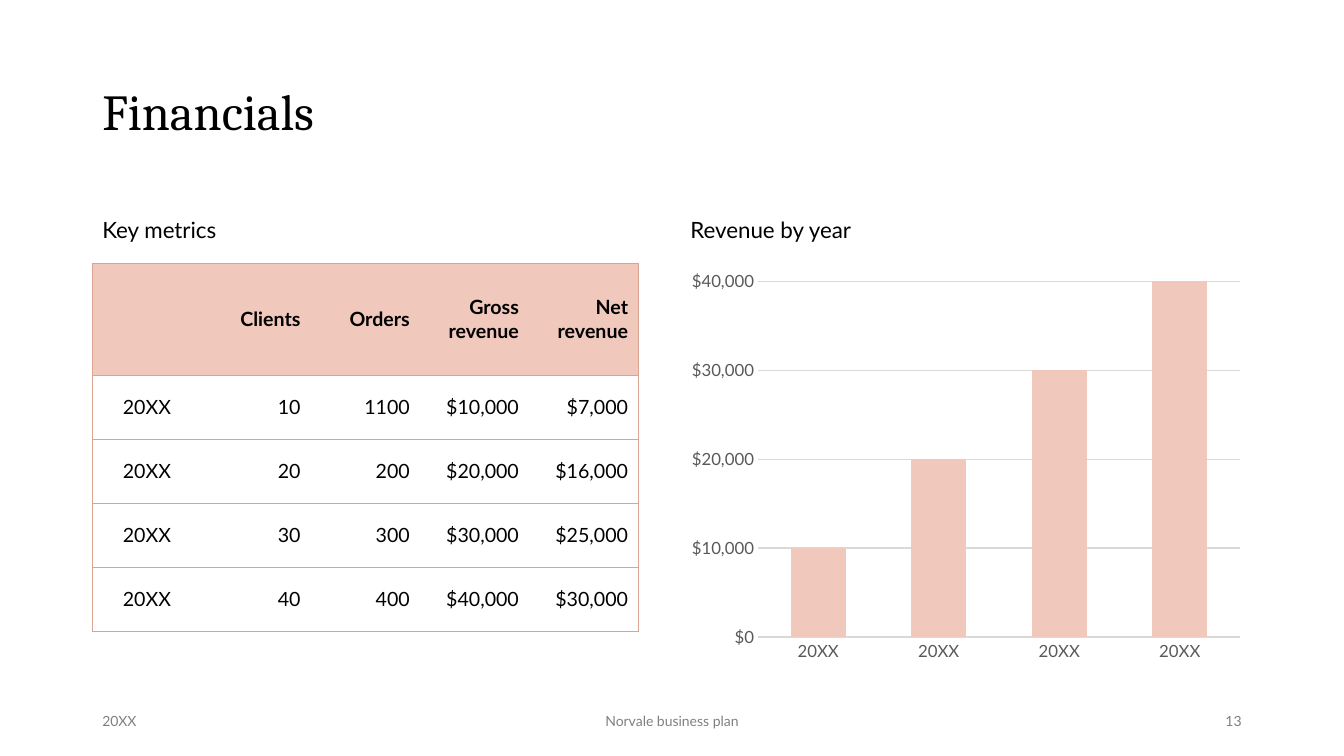
from dataclasses import dataclass

from lxml import etree
from pptx import Presentation
from pptx.chart.data import CategoryChartData
from pptx.dml.color import RGBColor
from pptx.enum.chart import XL_CHART_TYPE, XL_TICK_MARK
from pptx.enum.text import MSO_ANCHOR, PP_ALIGN
from pptx.oxml.ns import qn
from pptx.slide import Slide
from pptx.table import _Cell
from pptx.text.text import TextFrame
from pptx.util import Pt

LEFT, CENTER, RIGHT = PP_ALIGN.LEFT, PP_ALIGN.CENTER, PP_ALIGN.RIGHT
MIDDLE = MSO_ANCHOR.MIDDLE
NO_TICK = XL_TICK_MARK.NONE
COLUMNS = XL_CHART_TYPE.COLUMN_CLUSTERED

COLORS = {
    "ink": "000000",
    "footer": "808080",
    "axis": "595959",
    "grid": "D9D9D9",
    "blush": "F0C8BC",
    "border": "D9A491",
}
HEADING_FONT, BODY_FONT = "Cambria", "Lato"
LEFT_EDGE, RIGHT_HALF = 66, 486
CONTENT_TOP = 187.9
HEADER_HEIGHT, ROW_HEIGHT, COLUMN_WIDTH = 79.9, 45.8, 78
BORDER_WIDTH = 0.5

METRICS = [
    ["", "Clients", "Orders", "Gross revenue", "Net revenue"],
    ["20XX", "10", "1100", "$10,000", "$7,000"],
    ["20XX", "20", "200", "$20,000", "$16,000"],
    ["20XX", "30", "300", "$30,000", "$25,000"],
    ["20XX", "40", "400", "$40,000", "$30,000"],
]
YEARS = ["20XX"] * 4
REVENUE = [10000, 20000, 30000, 40000]


@dataclass(frozen=True)
class Label:
    text: str
    left: float
    top: float
    width: float
    height: float
    size: float
    color: str = "ink"
    font: str = BODY_FONT
    align: PP_ALIGN = LEFT
    line_spacing: float = 1.0


LABELS = [
    Label("Financials", LEFT_EDGE, 56.2, 828, 50.4, 36,
          font=HEADING_FONT, line_spacing=0.9),
    Label("Key metrics", LEFT_EDGE, 143.3, 406, 43.2, 16, line_spacing=0.9),
    Label("Revenue by year", RIGHT_HALF, 143.3, 408, 43.2, 16, line_spacing=0.9),
    Label("20XX", LEFT_EDGE, 500.5, 216, 28.8, 10, "footer"),
    Label("Norvale business plan", 318, 500.5, 324, 28.8, 10, "footer", align=CENTER),
    Label("13", 678, 500.5, 216, 28.8, 10, "footer", align=RIGHT),
]


def rgb(name: str) -> RGBColor:
    return RGBColor.from_string(COLORS[name])


def write(frame: TextFrame, text: str, *, size: float, color: str = "ink",
          font: str = BODY_FONT, align: PP_ALIGN = LEFT, bold: bool = False,
          line_spacing: float = 1.0) -> None:
    frame.word_wrap = True
    paragraph = frame.paragraphs[0]
    paragraph.text = text
    paragraph.alignment = align
    paragraph.line_spacing = line_spacing
    paragraph.font.size = Pt(size)
    paragraph.font.name = font
    paragraph.font.bold = bold
    paragraph.font.color.rgb = rgb(color)


def add_label(slide: Slide, label: Label) -> None:
    box = slide.shapes.add_textbox(Pt(label.left), Pt(label.top),
                                   Pt(label.width), Pt(label.height))
    box.text_frame.vertical_anchor = MIDDLE
    write(box.text_frame, label.text, size=label.size, color=label.color,
          font=label.font, align=label.align, line_spacing=label.line_spacing)


def set_borders(cell: _Cell, visible: str) -> None:
    """Draw the sides named in visible (letters of LRTB) and clear the others."""
    properties = cell._tc.get_or_add_tcPr()
    for side in "LRTB":
        line = etree.SubElement(properties, qn(f"a:ln{side}"), w=str(Pt(BORDER_WIDTH)))
        if side in visible:
            fill = etree.SubElement(line, qn("a:solidFill"))
            etree.SubElement(fill, qn("a:srgbClr"), val=COLORS["border"])
        else:
            etree.SubElement(line, qn("a:noFill"))


def add_metrics_table(slide: Slide) -> None:
    row_count, column_count = len(METRICS), len(METRICS[0])
    table = slide.shapes.add_table(
        row_count, column_count, Pt(LEFT_EDGE), Pt(CONTENT_TOP),
        Pt(COLUMN_WIDTH * column_count),
        Pt(HEADER_HEIGHT + ROW_HEIGHT * (row_count - 1))).table
    table.horz_banding = False
    for column in table.columns:
        column.width = Pt(COLUMN_WIDTH)
    for r, values in enumerate(METRICS):
        is_header = r == 0
        table.rows[r].height = Pt(HEADER_HEIGHT if is_header else ROW_HEIGHT)
        for c, value in enumerate(values):
            cell = table.cell(r, c)
            outer = "L" if c == 0 else "R" if c == column_count - 1 else ""
            set_borders(cell, "TB" + outer)
            if is_header:
                cell.fill.solid()
                cell.fill.fore_color.rgb = rgb("blush")
            else:
                cell.fill.background()
            cell.vertical_anchor = MIDDLE
            write(cell.text_frame, value, size=14, bold=is_header,
                  align=CENTER if c == 0 else RIGHT)


def add_revenue_chart(slide: Slide) -> None:
    data = CategoryChartData()
    data.categories = YEARS
    data.add_series("Series 1", REVENUE)
    chart = slide.shapes.add_chart(COLUMNS, Pt(RIGHT_HALF), Pt(CONTENT_TOP),
                                   Pt(408), Pt(290), data).chart
    chart.has_legend = False
    chart.has_title = False
    chart.font.name = BODY_FONT
    chart.font.size = Pt(10)
    chart.font.color.rgb = rgb("ink")

    plot = chart.plots[0]
    plot.gap_width = 118
    plot.overlap = -3
    plot.vary_by_categories = False
    bars = plot.series[0].format.fill
    bars.solid()
    bars.fore_color.rgb = rgb("blush")

    years, amounts = chart.category_axis, chart.value_axis
    for axis in (years, amounts):
        axis.major_tick_mark = NO_TICK
        axis.minor_tick_mark = NO_TICK
        axis.tick_labels.font.name = BODY_FONT
        axis.tick_labels.font.size = Pt(12)
        axis.tick_labels.font.color.rgb = rgb("axis")
    amounts.minimum_scale = 0
    amounts.maximum_scale = 40000
    amounts.major_unit = 10000
    amounts.tick_labels.number_format = "[$$-409]#,##0"
    amounts.tick_labels.number_format_is_linked = False
    amounts.format.line.fill.background()
    for line in (years.format.line, amounts.major_gridlines.format.line):
        line.width = Pt(0.75)
        line.color.rgb = rgb("grid")


def main() -> None:
    presentation = Presentation()
    presentation.slide_width = Pt(960)
    presentation.slide_height = Pt(540)
    slide = presentation.slides.add_slide(presentation.slide_layouts[6])
    for label in LABELS:
        add_label(slide, label)
    add_metrics_table(slide)
    add_revenue_chart(slide)
    presentation.save("out.pptx")


if __name__ == "__main__":
    main()
